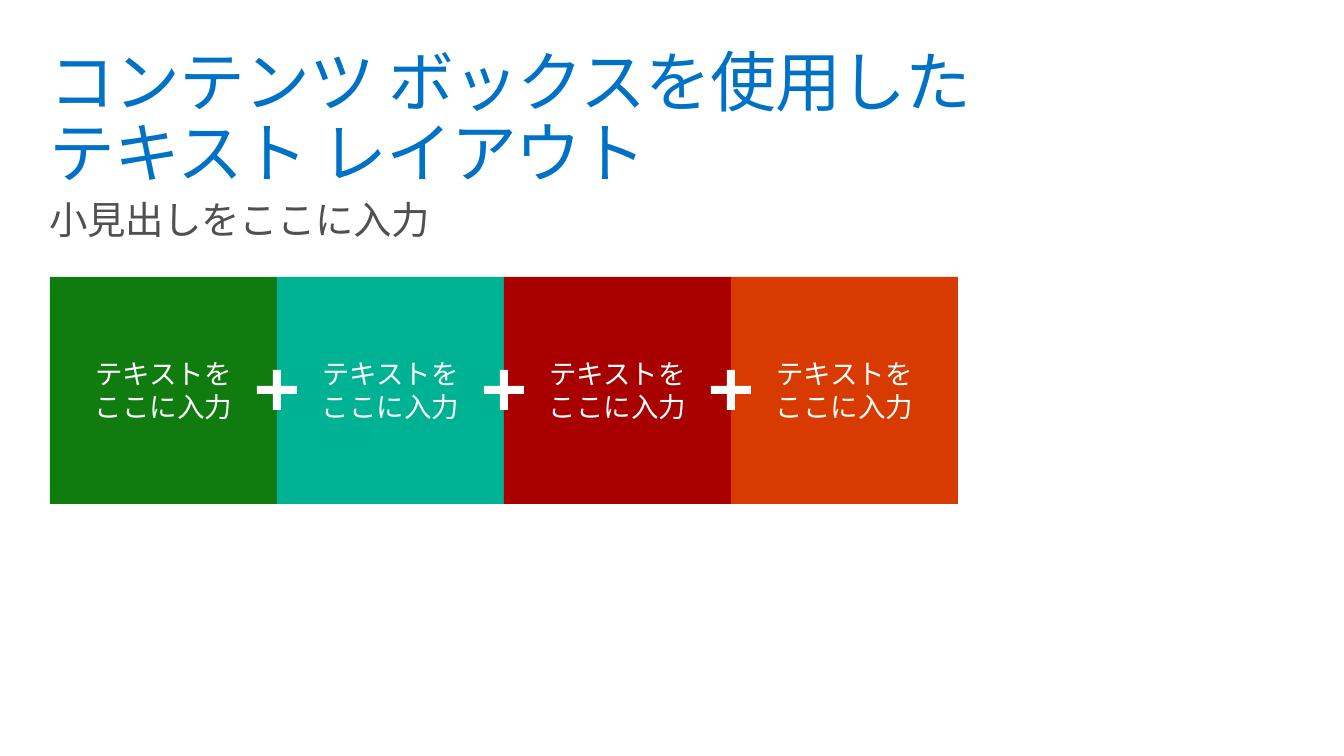
from lxml import etree
from pptx import Presentation
from pptx.dml.color import RGBColor
from pptx.enum.shapes import MSO_SHAPE
from pptx.enum.text import MSO_ANCHOR, PP_ALIGN
from pptx.oxml.ns import qn
from pptx.util import Pt

PX = 9255  # EMU per pixel
FONT = "Noto Sans CJK JP"
RECTANGLE = MSO_SHAPE.RECTANGLE
TOP, MIDDLE = MSO_ANCHOR.TOP, MSO_ANCHOR.MIDDLE
LEFT, CENTER = PP_ALIGN.LEFT, PP_ALIGN.CENTER

WHITE = RGBColor(0xFF, 0xFF, 0xFF)
BLUE = RGBColor(0x00, 0x72, 0xC6)
GRAY = RGBColor(0x50, 0x50, 0x50)
GREEN = RGBColor(0x10, 0x7C, 0x10)
TEAL = RGBColor(0x00, 0xB2, 0x94)
RED = RGBColor(0xA8, 0x00, 0x00)
ORANGE = RGBColor(0xD8, 0x3B, 0x01)


def write_text(shape, lines, size, color, side_inset, anchor, align, line_spacing=1.0, tracking=0):
    """Fill the shape with one paragraph; tracking is in hundredths of a point."""
    frame = shape.text_frame
    frame.word_wrap = True
    frame.vertical_anchor = anchor
    frame.margin_left = frame.margin_right = side_inset * PX
    frame.margin_top = frame.margin_bottom = 10 * PX
    para = frame.paragraphs[0]
    para.alignment = align
    para.line_spacing = line_spacing
    for number, line in enumerate(lines):
        if number:
            para.add_line_break()
        span = para.add_run()
        span.text = line
        span.font.size = Pt(size)
        span.font.color.rgb = color
        span.font.name = FONT
        properties = span.font._element
        properties.set("spc", str(tracking))
        etree.SubElement(properties, qn("a:ea")).set("typeface", FONT)


def paint(shape, color):
    shape.shadow.inherit = False
    shape.fill.solid()
    shape.fill.fore_color.rgb = color
    shape.line.fill.background()


deck = Presentation()
deck.slide_width = 1344 * PX
deck.slide_height = 756 * PX
page = deck.slides.add_slide(deck.slide_layouts[6])

# Headings
headings = [
    (40, ["コンテンツ ボックスを使用した", "テキスト レイアウト"], 48, BLUE, -70),
    (191, ["小見出しをここに入力"], 28, GRAY, -30),
]
for top, lines, size, color, tracking in headings:
    box = page.shapes.add_textbox(40 * PX, top * PX, 1265 * PX, 89 * PX)
    write_text(box, lines, size, color, 10, TOP, LEFT, 0.9, tracking)

# Content squares
ROW_LEFT, ROW_TOP, SIDE = 50, 277, 227
square_colors = [GREEN, TEAL, RED, ORANGE]
for column, color in enumerate(square_colors):
    square = page.shapes.add_shape(
        RECTANGLE, (ROW_LEFT + column * SIDE) * PX, ROW_TOP * PX, SIDE * PX, SIDE * PX)
    paint(square, color)
    write_text(square, ["テキストをここに入力"], 20, WHITE, 40, MIDDLE, CENTER)

# Plus signs on the seams between squares
ARM, HALF_BAR = 20, 4
plus_corners = [
    (-ARM, -HALF_BAR), (-HALF_BAR, -HALF_BAR), (-HALF_BAR, -ARM),
    (HALF_BAR, -ARM), (HALF_BAR, -HALF_BAR), (ARM, -HALF_BAR),
    (ARM, HALF_BAR), (HALF_BAR, HALF_BAR), (HALF_BAR, ARM),
    (-HALF_BAR, ARM), (-HALF_BAR, HALF_BAR), (-ARM, HALF_BAR),
]
center_y = ROW_TOP + SIDE // 2
for seam in range(1, len(square_colors)):
    center_x = ROW_LEFT + seam * SIDE
    corners = [(center_x + x, center_y + y) for x, y in plus_corners]
    outline = page.shapes.build_freeform(*corners[0], scale=PX)
    outline.add_line_segments(corners[1:], close=True)
    paint(outline.convert_to_shape(), WHITE)

deck.save("out.pptx")
